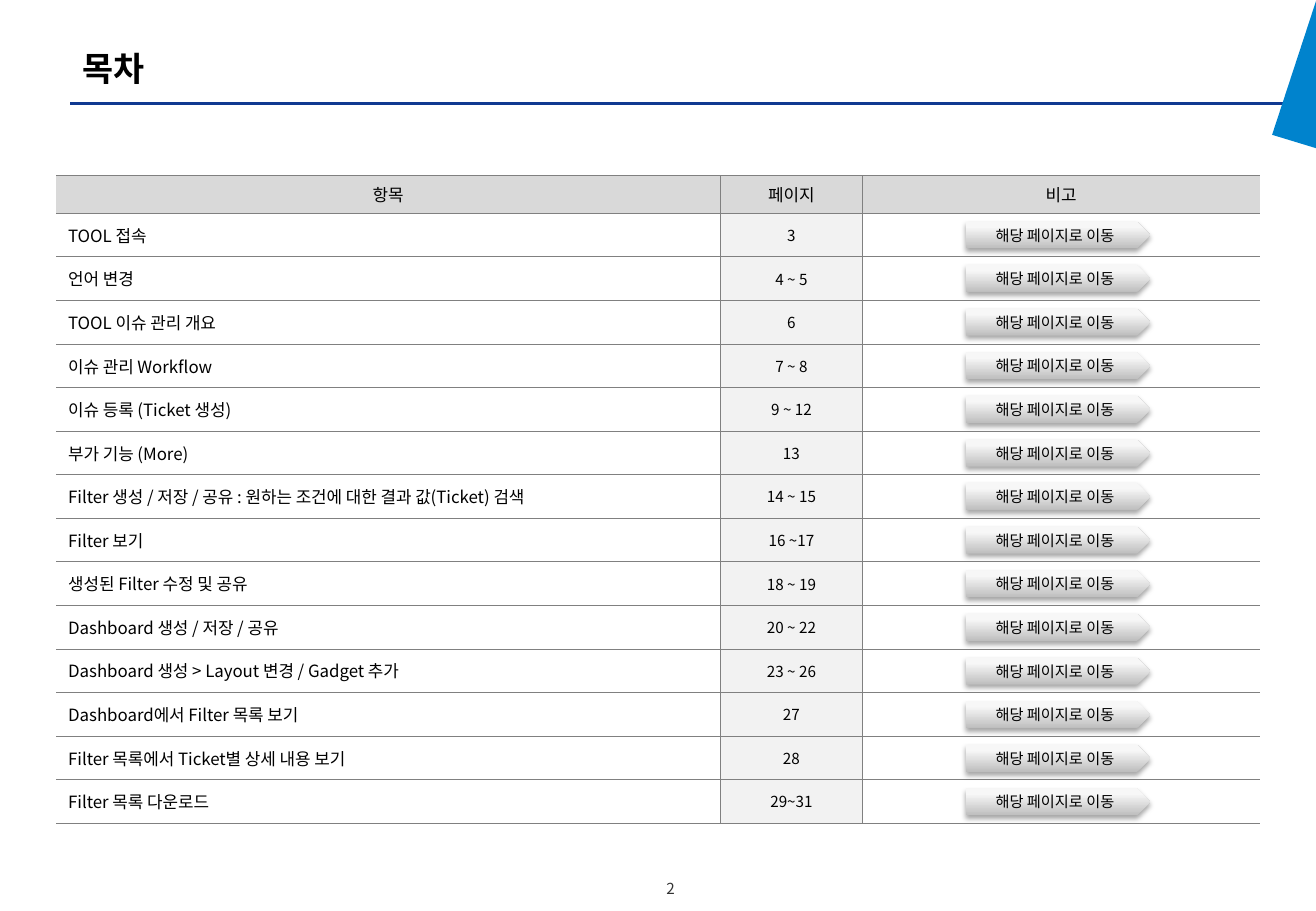
from lxml.etree import SubElement
from pptx import Presentation
from pptx.dml.color import RGBColor
from pptx.enum.shapes import MSO_CONNECTOR as Connector, MSO_SHAPE as Shape
from pptx.enum.text import MSO_ANCHOR as Anchor, MSO_AUTO_SIZE as AutoSize, PP_ALIGN as Align
from pptx.oxml import parse_xml
from pptx.oxml.ns import nsdecls, qn
from pptx.util import Pt

FONT = "Noto Sans CJK KR"
BLACK = RGBColor(0x00, 0x00, 0x00)
DARK_GRAY = RGBColor(0x33, 0x33, 0x33)
BORDER_GRAY = RGBColor(0x80, 0x80, 0x80)
HEADER_GRAY = RGBColor(0xD9, 0xD9, 0xD9)
PAGE_GRAY = RGBColor(0xF2, 0xF2, 0xF2)
WHITE = RGBColor(0xFF, 0xFF, 0xFF)
NAVY = RGBColor(0x10, 0x39, 0x91)
BLUE = RGBColor(0x00, 0x83, 0xCD)
BUTTON_DARK = RGBColor(0xBE, 0xBE, 0xBE)
BUTTON_LIGHT = RGBColor(0xF7, 0xF7, 0xF7)
BUTTON_TOP = RGBColor(0xF8, 0xF8, 0xF8)

TABLE_LEFT, TABLE_TOP = 33.2, 104
COLUMN_WIDTHS = (393.8, 84.2, 235.6)
HEADER_HEIGHT, ROW_HEIGHT = 22.4, 25.85
BUTTON_LEFT, BUTTON_WIDTH, BUTTON_HEIGHT = 572.5, 109.4, 16

HEADINGS = ("항목", "페이지", "비고")
BUTTON_LABEL = "해당 페이지로 이동"
CONTENTS = (
    ("TOOL 접속", "3"),
    ("언어 변경", "4 ~ 5"),
    ("TOOL 이슈 관리 개요", "6"),
    ("이슈 관리 Workflow", "7 ~ 8"),
    ("이슈 등록 (Ticket 생성)", "9 ~ 12"),
    ("부가 기능 (More)", "13"),
    ("Filter 생성 / 저장 / 공유 : 원하는 조건에 대한 결과 값(Ticket) 검색", "14 ~ 15"),
    ("Filter 보기", "16 ~17"),
    ("생성된 Filter 수정 및 공유", "18 ~ 19"),
    ("Dashboard 생성 / 저장 / 공유", "20 ~ 22"),
    ("Dashboard 생성 > Layout 변경 / Gadget 추가", "23 ~ 26"),
    ("Dashboard에서 Filter 목록 보기", "27"),
    ("Filter 목록에서 Ticket별 상세 내용 보기", "28"),
    ("Filter 목록 다운로드", "29~31"),
)


def write_text(frame, text, size, align=Align.LEFT, color=BLACK, bold=False):
    frame.text = text
    para = frame.paragraphs[0]
    para.alignment = align
    for span in para.runs:
        span.font.name = FONT
        span.font.size = Pt(size)
        span.font.bold = bold
        span.font.color.rgb = color
        # Hangul takes the East Asian font
        SubElement(span.font._element, qn("a:ea"), typeface=FONT)


def set_insets(target, side, vertical):
    target.margin_left = target.margin_right = Pt(side)
    target.margin_top = target.margin_bottom = Pt(vertical)


def add_title(page, text):
    title = page.shapes.title
    title.left, title.top, title.width, title.height = Pt(41.8), Pt(28.2), Pt(433.4), Pt(24.5)
    frame = title.text_frame
    frame.auto_size = AutoSize.NONE
    frame.vertical_anchor = Anchor.TOP
    set_insets(frame, 7.2, 0)
    write_text(frame, text, 20, bold=True)


def add_decoration(page):
    # Rule under the title
    rule = page.shapes.add_connector(Connector.STRAIGHT, Pt(41.8), Pt(61.2), Pt(764.6), Pt(61.2))
    rule.line.color.rgb = NAVY
    rule.line.width = Pt(1.5)
    SubElement(rule._element.spPr, qn("a:effectLst"))
    # Blue corner
    builder = page.shapes.build_freeform(Pt(780), Pt(0.7))
    builder.add_line_segments([(Pt(754), Pt(79.9)), (Pt(780), Pt(87.8))])
    corner = builder.convert_to_shape()
    corner.shadow.inherit = False
    corner.fill.solid()
    corner.fill.fore_color.rgb = BLUE
    corner.line.fill.background()


def add_page_number(page, number):
    box = page.shapes.add_textbox(Pt(380.9), Pt(519.1), Pt(33.1), Pt(15.1))
    frame = box.text_frame
    frame.word_wrap = True
    frame.vertical_anchor = Anchor.MIDDLE
    set_insets(frame, 0, 0)
    write_text(frame, number, 9, Align.CENTER, DARK_GRAY)


def set_border(cell, side, visible):
    fill = f'<a:solidFill><a:srgbClr val="{BORDER_GRAY}"/></a:solidFill>' if visible else "<a:noFill/>"
    cell._tc.get_or_add_tcPr().append(
        parse_xml(f'<a:{side} {nsdecls("a")} w="{Pt(0.5)}">{fill}</a:{side}>'))


def format_cell(cell, text, size, align, fill, column):
    set_insets(cell, 7.2, 2.2)
    cell.vertical_anchor = Anchor.MIDDLE
    write_text(cell.text_frame, text, size, align)
    if not text:
        cell.text_frame.paragraphs[0]._p.get_or_add_endParaRPr().set("sz", "900")
    set_border(cell, "lnL", column > 0)
    set_border(cell, "lnR", column < len(HEADINGS) - 1)
    set_border(cell, "lnT", True)
    set_border(cell, "lnB", True)
    cell.fill.solid()
    cell.fill.fore_color.rgb = fill


def add_contents_table(page):
    height = HEADER_HEIGHT + ROW_HEIGHT * len(CONTENTS)
    table = page.shapes.add_table(
        len(CONTENTS) + 1, len(HEADINGS), Pt(TABLE_LEFT), Pt(TABLE_TOP),
        Pt(sum(COLUMN_WIDTHS)), Pt(height)).table
    table.first_row = table.horz_banding = False
    for column, width in zip(table.columns, COLUMN_WIDTHS):
        column.width = Pt(width)
    for index, row in enumerate(table.rows):
        row.height = Pt(ROW_HEIGHT if index else HEADER_HEIGHT)
    for column, heading in enumerate(HEADINGS):
        format_cell(table.cell(0, column), heading, 10, Align.CENTER, HEADER_GRAY, column)
    for row, (topic, pages) in enumerate(CONTENTS, 1):
        format_cell(table.cell(row, 0), topic, 10, Align.LEFT, WHITE, 0)
        format_cell(table.cell(row, 1), pages, 9, Align.CENTER, PAGE_GRAY, 1)
        format_cell(table.cell(row, 2), "", 9, Align.CENTER, WHITE, 2)


def add_button(page, top):
    button = page.shapes.add_shape(
        Shape.PENTAGON, Pt(BUTTON_LEFT), Pt(top), Pt(BUTTON_WIDTH), Pt(BUTTON_HEIGHT))
    button.line.fill.background()
    # Upward gradient and soft shadow
    stops = "".join(
        f'<a:gs pos="{position}"><a:srgbClr val="{color}"/></a:gs>'
        for position, color in ((0, BUTTON_DARK), (80000, BUTTON_LIGHT), (100000, BUTTON_TOP)))
    properties = button._element.spPr
    properties.find(qn("a:prstGeom")).addnext(parse_xml(
        f'<a:gradFill {nsdecls("a")} rotWithShape="1"><a:gsLst>{stops}</a:gsLst>'
        '<a:lin ang="16200000" scaled="0"/></a:gradFill>'))
    properties.append(parse_xml(
        f'<a:effectLst {nsdecls("a")}><a:outerShdw blurRad="{Pt(3.1)}" dist="{Pt(1.8)}" '
        'dir="5400000" rotWithShape="0"><a:srgbClr val="000000"><a:alpha val="35000"/>'
        '</a:srgbClr></a:outerShdw></a:effectLst>'))
    frame = button.text_frame
    frame.word_wrap = True
    frame.auto_size = AutoSize.SHAPE_TO_FIT_TEXT
    frame.vertical_anchor = Anchor.MIDDLE
    set_insets(frame, 2.2, 2.2)
    write_text(frame, BUTTON_LABEL, 9, Align.CENTER)


def main():
    deck = Presentation()
    deck.slide_width, deck.slide_height = Pt(780), Pt(540)
    page = deck.slides.add_slide(deck.slide_layouts[5])
    # Frame of the page
    add_decoration(page)
    add_title(page, "목차")
    add_page_number(page, "2")
    # Contents, with one button centred in each row
    add_contents_table(page)
    first_top = TABLE_TOP + HEADER_HEIGHT + (ROW_HEIGHT - BUTTON_HEIGHT) / 2
    for index in range(len(CONTENTS)):
        add_button(page, first_top + index * ROW_HEIGHT)
    deck.save("out.pptx")


if __name__ == "__main__":
    main()
